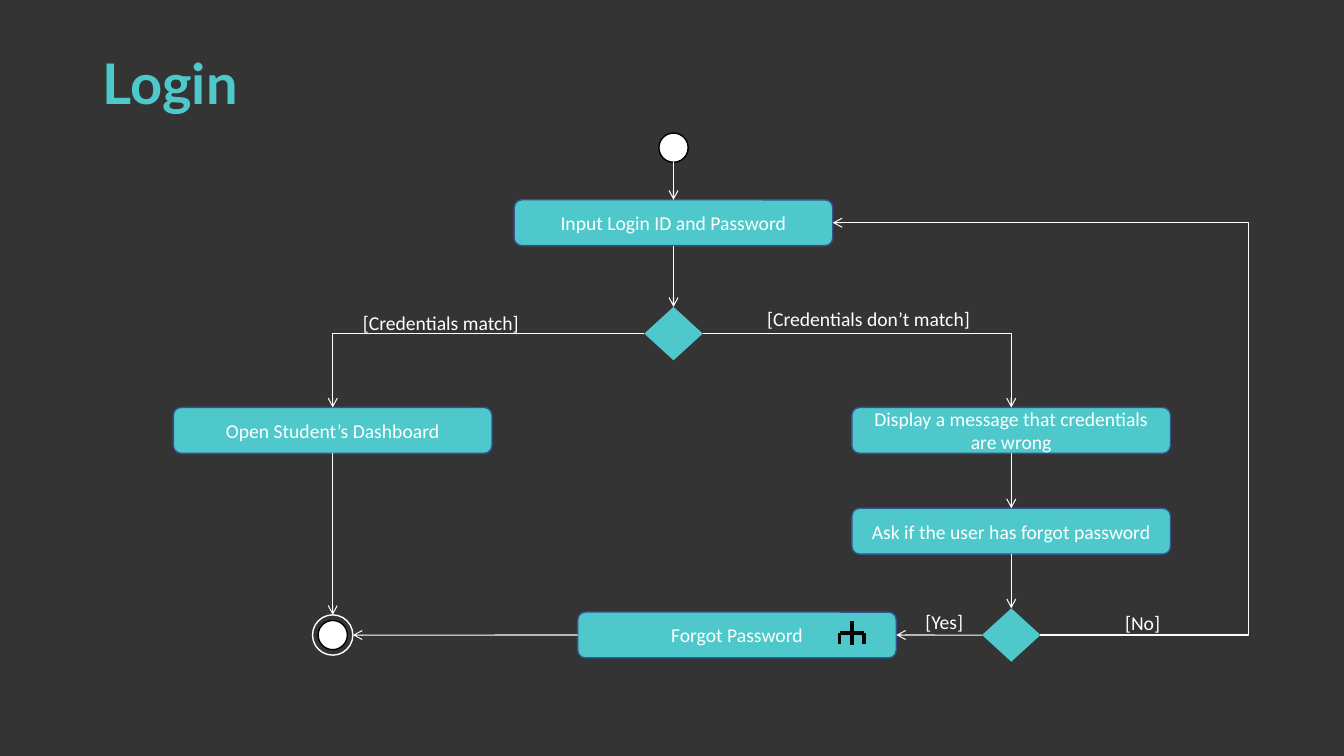
from lxml.etree import SubElement as Sub
from pptx import Presentation
from pptx.dml.color import RGBColor
from pptx.enum.shapes import MSO_CONNECTOR as Wire, MSO_SHAPE as Form
from pptx.enum.text import MSO_ANCHOR as Anchor, MSO_AUTO_SIZE as Auto, PP_ALIGN as Align
from pptx.oxml.ns import qn
from pptx.util import Inches, Pt

TEAL, DARK, WHITE, BLACK, BLUE = "4EC8CA", "343434", "FFFFFF", "000000", "325491"

# Grid of tenths of an inch: column and row centres, then element sizes.
LEFT, MID, RIGHT, LANE = 33, 66.8, 100.3, 123.8
TOP, INPUT, CHECK, RESULT, ASK, END = 14.65, 22.1, 33.1, 42.7, 52.7, 63
BOX, GEM, DOT, RING = (31.6, 4.55), (5.8, 5.3), (2.9, 2.9), (4, 4)

# Each side: connection site, then step from the centre in half sizes.
SIDES = {"top": (0, 0, -1), "left": (1, -1, 0), "bottom": (2, 0, 1), "right": (3, 1, 0)}


def grid(*nums):
    """Turn grid units into slide lengths."""
    return [Inches(n / 10) for n in nums]


def tint(code):
    """Turn a hex string into a colour."""
    return RGBColor.from_string(code)


def write(frame, text, size=14, font="Calibri", color=WHITE, bold=False,
          align=Align.LEFT, anchor=Anchor.TOP, space=None):
    """Put one formatted paragraph into a text frame."""
    frame.word_wrap = True
    frame.vertical_anchor = anchor
    para = frame.paragraphs[0]
    para.alignment, para.line_spacing = align, space
    run = para.add_run()
    run.text = text
    run.font.size, run.font.name, run.font.bold = Pt(size), font, bold
    run.font.color.rgb = tint(color)


def node(shapes, form, col, row, size, fill=TEAL, edge=None):
    """Draw a filled shape centred on a grid point."""
    wide, high = size
    shape = shapes.add_shape(form, *grid(col - wide / 2, row - high / 2, wide, high))
    shape.shadow.inherit = False
    shape.fill.solid()
    shape.fill.fore_color.rgb = tint(fill)
    if edge:
        shape.line.color.rgb = tint(edge)
        shape.line.width = Pt(1)
    else:
        shape.line.fill.background()
    return shape


def step(shapes, text, col, row):
    """Draw an action box with its wording."""
    box = node(shapes, Form.ROUNDED_RECTANGLE, col, row, BOX, edge=BLUE)
    write(box.text_frame, text, align=Align.CENTER, anchor=Anchor.MIDDLE)
    return box


def label(shapes, text, left, top, wide=19.2):
    """Write a condition beside a branch."""
    frame = shapes.add_textbox(*grid(left, top, wide, 3.4)).text_frame
    write(frame, text)
    frame.auto_size = Auto.SHAPE_TO_FIT_TEXT


def wire(shapes, kind, ends, color=WHITE, width=0.75):
    """Draw a plain connector between two points."""
    line = shapes.add_connector(kind, *ends)
    line.line.color.rgb = tint(color)
    line.line.width = Pt(width)
    Sub(line.element.spPr, qn("a:effectLst"))
    return line


def port(shape, side):
    """Find the middle of one side of a shape."""
    _, dx, dy = SIDES[side]
    return (int(shape.left + shape.width * (1 + dx) / 2),
            int(shape.top + shape.height * (1 + dy) / 2))


def link(shapes, start, out, stop, into, bend=None, turn=None):
    """Join two shapes with an arrow, bent if a bend preset is named."""
    kind = Wire.ELBOW if bend else Wire.STRAIGHT
    line = wire(shapes, kind, port(start, out) + port(stop, into))
    if start.auto_shape_type != Form.OVAL:
        line.begin_connect(start, SIDES[out][0])
    if stop.auto_shape_type != Form.OVAL:
        line.end_connect(stop, SIDES[into][0])
    if bend:
        geom = line.element.spPr.find(qn("a:prstGeom"))
        geom.set("prst", bend)
        if turn is not None:
            Sub(geom.find(qn("a:avLst")), qn("a:gd"), name="adj1",
                fmla=f"val {round(turn * 100000)}")
    Sub(line.line._get_or_add_ln(), qn("a:tailEnd"), type="arrow")


def fork(shapes, col, row):
    """Draw the sub-activity fork symbol around a grid point."""
    parts = shapes.add_group_shape().shapes
    for x1, y1, x2, y2 in ((0, -1.2, 0, 1.2), (-1.2, 0, 1.2, 0),
                           (-1.2, 0, -1.2, 1.1), (1.2, 0, 1.2, 1.1)):
        ends = grid(col + x1, row + y1, col + x2, row + y2)
        wire(parts, Wire.STRAIGHT, ends, BLACK, 2.25)


def final(shapes, col, row):
    """Draw the ringed end node and return its ring."""
    parts = shapes.add_group_shape().shapes
    ring = node(parts, Form.OVAL, col, row, RING, DARK, WHITE)
    node(parts, Form.OVAL, col, row, DOT, WHITE, BLACK)
    return ring


def head(slide, text):
    """Place and format the slide title."""
    title = slide.shapes.title
    title.left, title.top, title.width, title.height = grid(9.2, 1.3, 69.6, 14.5)
    write(title.text_frame, text, size=40, font="Lato", color=TEAL, bold=True,
          anchor=Anchor.MIDDLE, space=0.9)


def main():
    """Build the login activity diagram."""
    deck = Presentation()
    deck.slide_width, deck.slide_height = Inches(13.33), Inches(7.5)
    slide = deck.slides.add_slide(deck.slide_layouts[5])
    slide.background.fill.solid()
    slide.background.fill.fore_color.rgb = tint(DARK)
    head(slide, "Login")
    art = slide.shapes

    start = node(art, Form.OVAL, MID, TOP, DOT, WHITE, BLACK)
    enter = step(art, "Input Login ID and Password", MID, INPUT)
    check = node(art, Form.DIAMOND, MID, CHECK, GEM)
    board = step(art, "Open Student’s Dashboard", LEFT, RESULT)
    wrong = step(art, "Display a message that credentials are wrong", RIGHT, RESULT)
    ask = step(art, "Ask if the user has forgot password", RIGHT, ASK)
    retry = node(art, Form.DIAMOND, RIGHT, END, GEM)
    forgot = step(art, "Forgot Password", 73.1, END)
    fork(art, 84.5, 62.8)
    done = final(art, LEFT, END)

    for above, below in ((start, enter), (enter, check), (wrong, ask),
                         (ask, retry), (board, done)):
        link(art, above, "bottom", below, "top")
    link(art, check, "left", board, "top", "bentConnector2")
    link(art, check, "right", wrong, "top", "bentConnector2")
    link(art, retry, "left", forgot, "right")
    link(art, forgot, "left", done, "right")
    out, back = RIGHT + GEM[0] / 2, MID + BOX[0] / 2
    link(art, retry, "right", enter, "right", "bentConnector3",
         (LANE - out) / (back - out))

    label(art, "[Credentials match]", 35, 30.4)
    label(art, "[Credentials don’t match]", 75.1, 30, 22.7)
    label(art, "[Yes]", 90.8, 60)
    label(art, "[No]", 110.6, 60.1)
    deck.save("out.pptx")


main()
